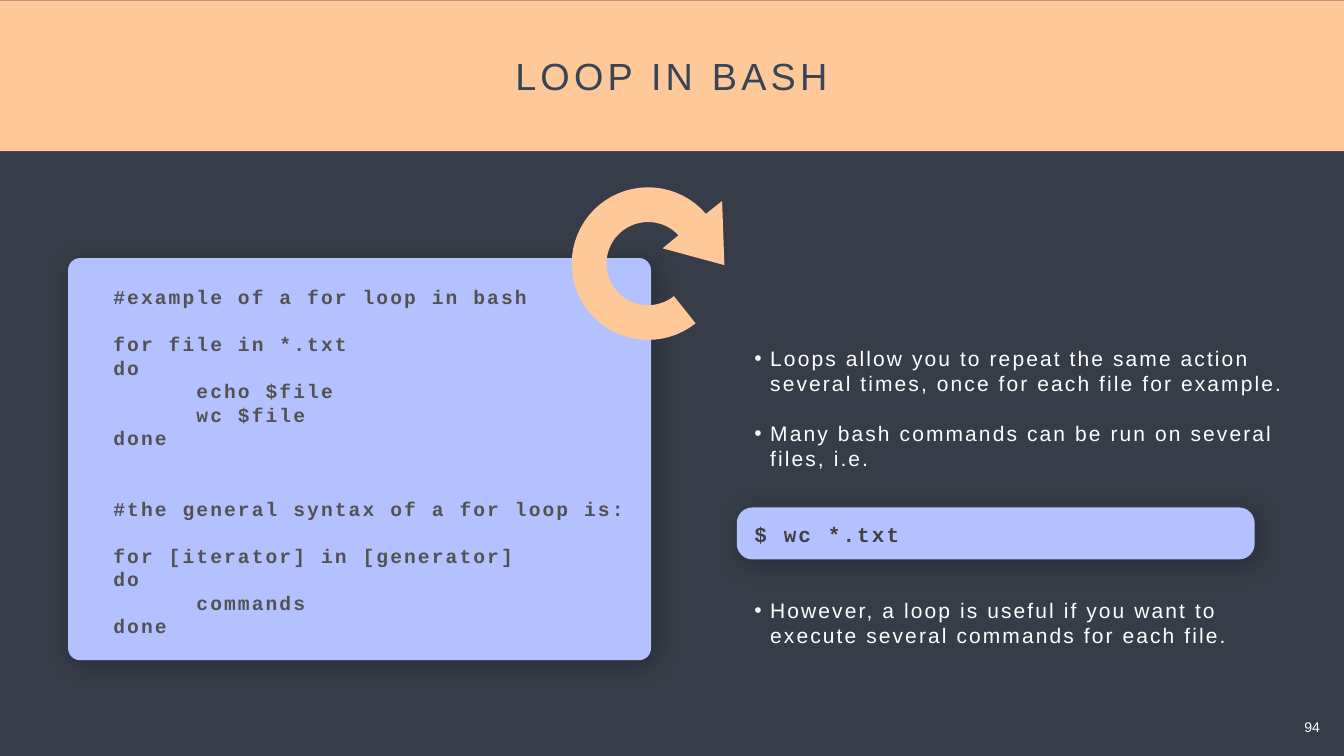
from collections import namedtuple
from dataclasses import dataclass
from math import cos, radians, sin

from lxml.etree import SubElement
from pptx import Presentation
from pptx.dml.color import RGBColor
from pptx.enum.shapes import MSO_SHAPE
from pptx.enum.text import PP_ALIGN
from pptx.oxml.ns import qn
from pptx.util import Pt

Box = namedtuple("Box", "left top width height")


@dataclass(frozen=True)
class Theme:
    night: RGBColor = RGBColor.from_string("363D48")
    peach: RGBColor = RGBColor.from_string("FFC899")
    lilac: RGBColor = RGBColor.from_string("B3C2FF")
    heading: RGBColor = RGBColor.from_string("374556")
    code: RGBColor = RGBColor.from_string("525252")
    command: RGBColor = RGBColor.from_string("404040")
    white: RGBColor = RGBColor.from_string("FFFFFF")
    sans: str = "Arial"
    mono: str = "Courier New"
    title_size: int = 54
    note_size: int = 30
    code_size: int = 28
    number_size: int = 20
    leading: float = 1.2


THEME = Theme()
TITLE = dict(name=THEME.sans, size=Pt(THEME.title_size), color=THEME.heading)
NOTE = dict(name=THEME.sans, size=Pt(THEME.note_size), color=THEME.white, bold=False)
COMMAND = dict(name=THEME.mono, size=Pt(THEME.note_size), color=THEME.command, bold=True)
CODE = dict(name=THEME.mono, size=Pt(THEME.code_size), color=THEME.code, bold=True)
NUMBER = dict(name=THEME.sans, size=Pt(THEME.number_size), color=THEME.white)

EXAMPLE = """#example of a for loop in bash

for file in *.txt
do
      echo $file
      wc $file
done


#the general syntax of a for loop is:

for [iterator] in [generator]
do
      commands
done"""

NOTES = [
    ("Loops allow you to repeat the same action several times, once for each file for example.", NOTE, 0),
    ("Many bash commands can be run on several files, i.e.", NOTE, 1),
    ("$ wc *.txt", COMMAND, 2),
    ("However, a loop is useful if you want to execute several commands for each file.", NOTE, 2),
]


def fill_plain(shape, color):
    shape.shadow.inherit = False
    shape.fill.solid()
    shape.fill.fore_color.rgb = color
    shape.line.fill.background()


def add_panel(page, box, corner):
    panel = page.shapes.add_shape(MSO_SHAPE.ROUNDED_RECTANGLE, *map(Pt, box))
    panel.adjustments[0] = corner
    fill_plain(panel, THEME.lilac)
    effects = panel._element.spPr.find(qn("a:effectLst"))
    shadow = SubElement(effects, qn("a:outerShdw"), blurRad=str(Pt(36)), dist=str(Pt(8)),
                        dir="2700000", algn="ctr", rotWithShape="0")
    shade = SubElement(shadow, qn("a:srgbClr"), val="000000")
    SubElement(shade, qn("a:alpha"), val="26000")


def add_text_frame(page, box, inset, wrap):
    frame = page.shapes.add_textbox(*map(Pt, box)).text_frame
    frame.word_wrap = wrap
    for side in ("left", "top", "right", "bottom"):
        setattr(frame, f"margin_{side}", Pt(inset))
    return frame


def write(para, text, style, spacing=0):
    span = para.add_run()
    span.text = text
    for name, value in style.items():
        if name == "color":
            span.font.color.rgb = value
        else:
            setattr(span.font, name, value)
    if spacing:
        span._r.get_or_add_rPr().set("spc", str(spacing * 100))


def next_para(frame, first):
    return frame.paragraphs[0] if first else frame.add_paragraph()


def add_bullet(para, indent):
    properties = para._p.get_or_add_pPr()
    properties.set("marL", str(Pt(indent)))
    properties.set("indent", str(Pt(-indent)))
    SubElement(properties, qn("a:buFont"), typeface=THEME.sans)
    SubElement(properties, qn("a:buChar"), char="•")


def draw_title_band(page, box):
    band = page.shapes.add_shape(MSO_SHAPE.RECTANGLE, *map(Pt, box))
    fill_plain(band, THEME.peach)
    width = 460
    title = Box(box.left + (box.width - width) / 2 - 0.6, box.top + 71, width, 72)
    para = add_text_frame(page, title, 3.6, False).paragraphs[0]
    para.alignment = PP_ALIGN.CENTER
    para.line_spacing = Pt(THEME.title_size * THEME.leading)
    write(para, "LOOP IN BASH", TITLE, 6)


def draw_code_card(page, box):
    add_panel(page, box, 0.03)
    frame = add_text_frame(page, Box(box.left + 61, box.top + 35, 796, 596), 3.6, True)
    pitch = THEME.code_size * THEME.leading
    gap, first = 0, True
    for line in EXAMPLE.splitlines():
        if not line:
            gap += 1
            continue
        para = next_para(frame, first)
        para.line_spacing = Pt(pitch)
        para.space_before = Pt(gap * pitch)
        write(para, line, CODE, 3)
        gap, first = 0, False


def draw_notes(page, box):
    add_panel(page, Box(box.left - 21.6, box.top + 235.4, 739.4, 74.2), 0.3)
    frame = add_text_frame(page, box, 3.6, True)
    pitch = THEME.note_size * THEME.leading
    for index, (text, style, gap) in enumerate(NOTES):
        para = next_para(frame, index == 0)
        para.line_spacing = Pt(pitch)
        para.space_before = Pt(gap * pitch)
        if style is NOTE:
            add_bullet(para, 22.5)
        write(para, text, style, 3)


def draw_loop_arrow(page, box):
    outer = box.width / 2
    inner = outer * 0.545
    center_x, center_y = box.left + outer, box.top + outer

    def arc(radius, start, end, steps=48):
        angles = [radians(start + (end - start) * step / steps) for step in range(steps + 1)]
        return [(radius * cos(angle), radius * sin(angle)) for angle in angles]

    head = [(outer * x, outer * y) for x, y in ((0.19, -0.2), (1, 0.02), (0.97, -0.82))]
    outline = arc(outer, 319.3, 51.5) + arc(inner, 51.5, 317) + head
    points = [(Pt(center_x + x), Pt(center_y + y)) for x, y in outline]
    builder = page.shapes.build_freeform(*points[0])
    builder.add_line_segments(points[1:], close=True)
    fill_plain(builder.convert_to_shape(), THEME.peach)


def draw_page_number(page, box):
    para = add_text_frame(page, box, 7.2, False).paragraphs[0]
    para.alignment = PP_ALIGN.CENTER
    write(para, "94", NUMBER)


def main():
    deck = Presentation()
    deck.slide_width, deck.slide_height = Pt(1918.8), Pt(1080)
    page = deck.slides.add_slide(deck.slide_layouts[6])
    page.background.fill.solid()
    page.background.fill.fore_color.rgb = THEME.night
    draw_title_band(page, Box(-32.4, 0.7, 1983.6, 215.3))
    draw_code_card(page, Box(97.2, 368.6, 832.3, 574.6))
    draw_notes(page, Box(1073.5, 489.6, 785.5, 443.5))
    draw_page_number(page, Box(1854.7, 1019.5, 37.4, 38.2))
    draw_loop_arrow(page, Box(816.2, 267.6, 218, 218))
    deck.save("out.pptx")


if __name__ == "__main__":
    main()
